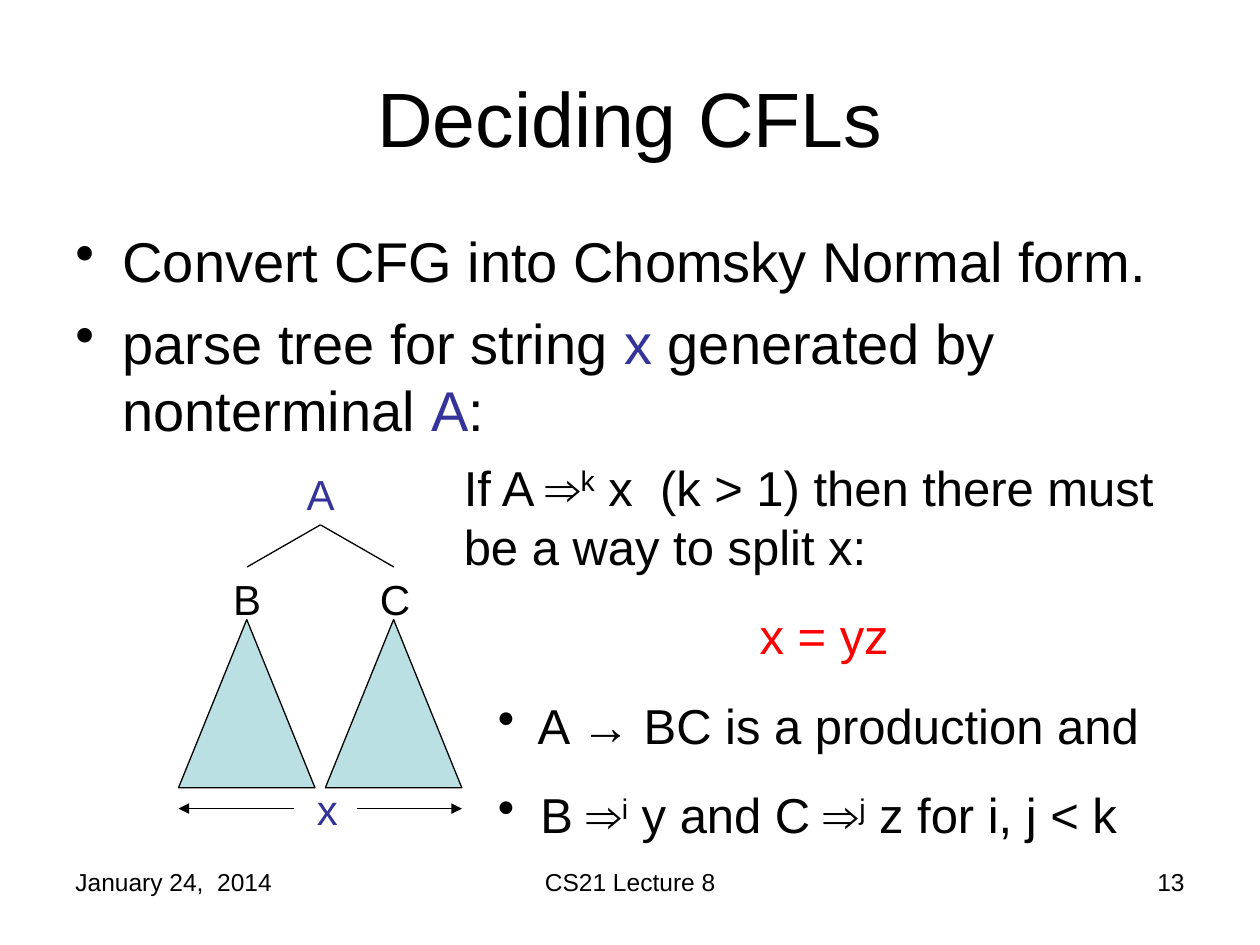
from lxml import etree
from pptx import Presentation
from pptx.dml.color import RGBColor
from pptx.enum.shapes import MSO_CONNECTOR, MSO_SHAPE
from pptx.enum.text import MSO_ANCHOR, PP_ALIGN
from pptx.oxml.ns import qn
from pptx.util import Cm, Pt

LEFT, CENTER, RIGHT = PP_ALIGN.LEFT, PP_ALIGN.CENTER, PP_ALIGN.RIGHT
MIDDLE = MSO_ANCHOR.MIDDLE
STRAIGHT = MSO_CONNECTOR.STRAIGHT
TRIANGLE = MSO_SHAPE.ISOSCELES_TRIANGLE
COLORS = {"text": "000000", "symbol": "333399", "split": "FF0000", "subtree": "BBE0E3"}
SUPERSCRIPT = "30000"


def color(name):
    """Return the named colour."""
    return RGBColor.from_string(COLORS[name])


def add_run(paragraph, text, size, style="text"):
    """Add a run in a named colour or as a superscript."""
    run = paragraph.add_run()
    run.text = text
    for name, value in {"name": "Arial", "size": Pt(size)}.items():
        setattr(run.font, name, value)
    run.font.color.rgb = color("text" if style == "super" else style)
    if style == "super":
        run._r.get_or_add_rPr().set("baseline", SUPERSCRIPT)


def add_bullet(paragraph, margin, indent):
    """Give a paragraph a round bullet with a margin and indent in cm."""
    properties = paragraph._p.get_or_add_pPr()
    properties.set("marL", str(Cm(margin)))
    properties.set("indent", str(Cm(indent)))
    etree.SubElement(properties, qn("a:buChar")).set("char", "•")


def fill_paragraph(paragraph, runs, size, align=LEFT, before=0, bullet=None):
    """Write and format one paragraph from (text, style) runs."""
    formats = {"alignment": align, "space_before": Pt(before)}
    for name, value in formats.items():
        setattr(paragraph, name, value)
    if bullet:
        add_bullet(paragraph, *bullet)
    for run in runs:
        add_run(paragraph, run[0], size, *run[1:])


def add_text(slide, box, paragraphs, size, before=0):
    """Add a wrapping text box from (runs, align, bullet) paragraphs."""
    shape = slide.shapes.add_textbox(*map(Cm, box))
    frame = shape.text_frame
    frame.word_wrap = True
    for index, (runs, align, bullet) in enumerate(paragraphs):
        paragraph = frame.add_paragraph() if index else frame.paragraphs[0]
        fill_paragraph(paragraph, runs, size, align, before, bullet)


def add_label(slide, left, top, text, style="text"):
    """Add a one-letter label of the parse tree."""
    add_text(slide, (left, top, 1.06, 1.27), [([(text, style)], LEFT, None)], 24, 15)


def add_line(slide, start, end, arrow=False):
    """Add a thin black line, with an arrowhead at its end if asked."""
    connector = slide.shapes.add_connector(STRAIGHT, *map(Cm, start + end))
    connector.line.color.rgb = color("text")
    connector.line.width = Pt(0.75)
    if arrow:
        etree.SubElement(connector.line._get_or_add_ln(), qn("a:tailEnd")).set("type", "triangle")
    etree.SubElement(connector._element.spPr, qn("a:effectLst"))


def add_subtree(slide, left):
    """Add a triangle that stands for a subtree."""
    shape = slide.shapes.add_shape(TRIANGLE, Cm(left), Cm(12.49), Cm(2.75), Cm(3.39))
    shape.shadow.inherit = False
    shape.fill.solid()
    shape.fill.fore_color.rgb = color("subtree")
    shape.line.color.rgb = color("text")
    shape.line.width = Pt(0.75)


def add_title(slide, text):
    """Place and format the title placeholder."""
    title = slide.shapes.title
    box = {"left": 1.27, "top": 0.76, "width": 22.86, "height": 3.18}
    for name, value in box.items():
        setattr(title, name, Cm(value))
    title.text_frame.vertical_anchor = MIDDLE
    fill_paragraph(title.text_frame.paragraphs[0], [(text,)], 44, CENTER)


def add_footers(slide):
    """Add the date, lecture name and slide number."""
    footers = [
        (1.27, 5.93, "January 24,  2014", LEFT),
        (8.68, 8.05, "CS21 Lecture 8", CENTER),
        (18.2, 5.93, "13", RIGHT),
    ]
    for left, width, text, align in footers:
        add_text(slide, (left, 17.36, width, 1.32), [([(text,)], align, None)], 14)


def add_parse_tree(slide):
    """Draw root A, its children B and C and the span of x."""
    root, spread = 6.46, 1.48
    add_label(slide, root - 0.53, 9.31, "A", "symbol")
    for letter, center in (("B", root - spread), ("C", root + spread)):
        add_label(slide, center - 0.53, 11.43, letter)
        add_line(slide, (root, 10.58), (center, 11.43))
        add_subtree(slide, center - 1.38)
    add_label(slide, 6.14, 15.66, "x", "symbol")
    for start, end in ((7.2, 9.31), (5.93, 3.6)):
        add_line(slide, (start, 16.3), (end, 16.3), arrow=True)


def main():
    """Build and save the slide."""
    presentation = Presentation()
    presentation.slide_width, presentation.slide_height = Cm(25.4), Cm(19.05)
    slide = presentation.slides.add_slide(presentation.slide_layouts[5])
    add_footers(slide)
    add_title(slide, "Deciding CFLs")

    outer, inner = (0.95, -0.95), (1.27, -0.58)
    steps = [
        ([("Convert CFG into Chomsky Normal form.",)], LEFT, outer),
        ([("parse tree for string ",), ("x", "symbol"), (" generated by nonterminal ",),
          ("A", "symbol"), (":",)], LEFT, outer),
    ]
    add_text(slide, (1.27, 4.45, 22.86, 5.08), steps, 32, 8)
    add_parse_tree(slide)

    split_rule = [
        ([("If A ⇒",), ("k", "super"),
          (" x  (k > 1) then there must be a way to split x:",)], LEFT, None),
        ([("x = yz", "split")], CENTER, None),
        ([(" A → BC is a production and",)], LEFT, inner),
        ([(" B ⇒",), ("i", "super"), (" y and C ⇒",), ("j", "super"),
          (" z for i, j < k",)], LEFT, inner),
    ]
    add_text(slide, (9.1, 9.1, 15.03, 8.04), split_rule, 28, 17.5)
    presentation.save("out.pptx")


if __name__ == "__main__":
    main()
